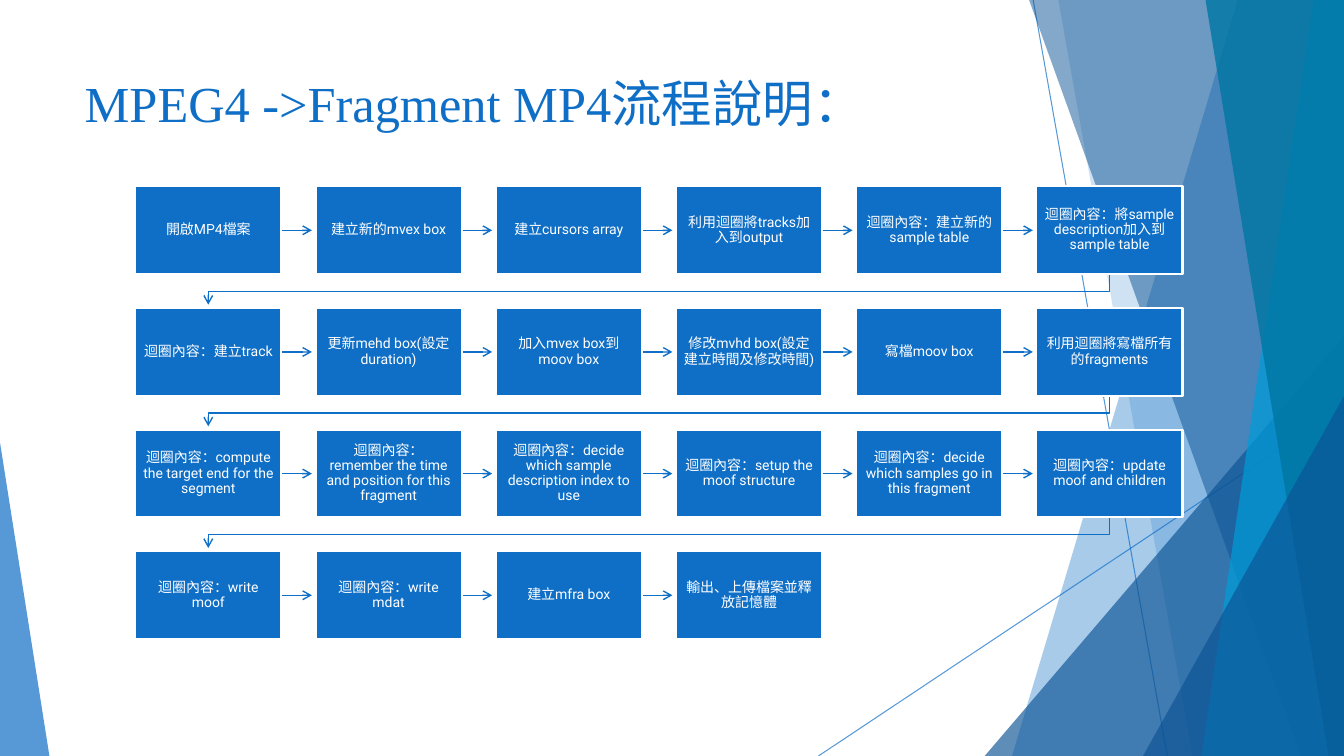
from pptx import Presentation
from pptx.dml.color import RGBColor
from pptx.enum import shapes, text
from pptx.oxml import ns, xmlchemy
from pptx.util import Pt

BLUE = RGBColor(0x0F, 0x6F, 0xC6)
NAVY = RGBColor(0x0B, 0x53, 0x94)
CYAN = RGBColor(0x00, 0x9D, 0xD9)
TEAL = RGBColor(0x00, 0x76, 0xA3)
WHITE = RGBColor(0xFF, 0xFF, 0xFF)

SLIDE_W, SLIDE_H = 960, 540
CJK_FONT = "Noto Sans CJK SC"

# Flow grid
COLUMNS = 6
GRID_LEFT, GRID_TOP = 96.6, 133.2
STEP_W, STEP_H = 104.4, 62.6
PITCH_X, PITCH_Y = 128.74, 86.9
ARROW_LENGTH, TURN_DROP = 21.8, 12.3

STEPS = [
    "開啟MP4檔案",
    "建立新的mvex box",
    "建立cursors array",
    "利用迴圈將tracks加入到output",
    "迴圈內容：建立新的sample table",
    "迴圈內容：將sample description加入到sample table",
    "迴圈內容：建立track",
    "更新mehd box(設定duration)",
    "加入mvex box到moov box",
    "修改mvhd box(設定建立時間及修改時間)",
    "寫檔moov box",
    "利用迴圈將寫檔所有的fragments",
    "迴圈內容：compute the target end for the segment",
    "迴圈內容：remember the time and position for this fragment",
    "迴圈內容：decide which sample description index to use",
    "迴圈內容：setup the moof structure",
    "迴圈內容：decide which samples go in this fragment",
    "迴圈內容：update moof and children",
    "迴圈內容：write moof",
    "迴圈內容：write mdat",
    "建立mfra box",
    "輸出、上傳檔案並釋放記憶體",
]


def assign(target, values):
    for name, value in values.items():
        setattr(target, name, value)


def add_xml(parent, tag, **attributes):
    child = xmlchemy.OxmlElement(tag)
    for name, value in attributes.items():
        child.set(name, value)
    parent.append(child)


class FlowSlide:
    step_frame = dict(word_wrap=True, vertical_anchor=text.MSO_ANCHOR.MIDDLE,
                      margin_left=Pt(5.6), margin_right=Pt(5.6),
                      margin_top=Pt(5.6), margin_bottom=Pt(5.6))
    step_paragraph = dict(alignment=text.PP_ALIGN.CENTER, line_spacing=0.9,
                          space_after=Pt(3.5))
    step_font = dict(name="Roboto", size=Pt(10))
    title_frame = dict(word_wrap=True, vertical_anchor=text.MSO_ANCHOR.TOP,
                       auto_size=text.MSO_AUTO_SIZE.NONE)

    def __init__(self, slide):
        self.slide = slide
        self.shapes = slide.shapes

    def _run(self, paragraph, words, font, color):
        run = paragraph.add_run()
        run.text = words
        assign(run.font, font)
        run.font.color.rgb = color
        add_xml(run.font._element, "a:ea", typeface=CJK_FONT)

    def _fade(self, shape, percent):
        for color in shape._element.spPr.iter(ns.qn("a:srgbClr")):
            add_xml(color, "a:alpha", val=str(percent * 1000))

    def _stroke(self, shape, width, color=BLUE):
        shape.line.width = Pt(width)
        shape.line.color.rgb = color

    def _arrowhead(self, shape):
        add_xml(shape._element.spPr.find(ns.qn("a:ln")), "a:tailEnd", type="arrow")

    def _facet(self, shape, color, opacity):
        shape.shadow.inherit = False
        shape.fill.solid()
        shape.fill.fore_color.rgb = color
        shape.line.fill.background()
        self._fade(shape, opacity)

    def _outline(self, points, close):
        builder = self.shapes.build_freeform(Pt(points[0][0]), Pt(points[0][1]))
        builder.add_line_segments([(Pt(x), Pt(y)) for x, y in points[1:]], close=close)
        return builder.convert_to_shape()

    def title(self, left, top, width, height, parts):
        heading = self.shapes.title
        assign(heading, dict(left=Pt(left), top=Pt(top), width=Pt(width), height=Pt(height)))
        assign(heading.text_frame, self.title_frame)
        paragraph = heading.text_frame.paragraphs[0]
        paragraph.alignment = text.PP_ALIGN.LEFT
        for words, family in parts:
            self._run(paragraph, words, dict(name=family, size=Pt(36)), BLUE)

    def line(self, x1, y1, x2, y2, width):
        line = self.shapes.add_connector(
            shapes.MSO_CONNECTOR.STRAIGHT, Pt(x1), Pt(y1), Pt(x2), Pt(y2))
        self._stroke(line, width)
        add_xml(line._element.spPr, "a:effectLst")
        return line

    def ray(self, *ends):
        self._fade(self.line(*ends, 0.75), 70)

    def band(self, top_left, top_right, bottom_right, bottom_left, color, opacity):
        corners = [(top_left, 0), (top_right, 0),
                   (bottom_right, SLIDE_H), (bottom_left, SLIDE_H)]
        self._facet(self._outline(corners, True), color, opacity)

    def wedge(self, left, top, width, apex, color, opacity):
        wedge = self.shapes.add_shape(
            shapes.MSO_SHAPE.ISOSCELES_TRIANGLE,
            Pt(left), Pt(top), Pt(width), Pt(SLIDE_H - top))
        wedge.adjustments[0] = apex
        self._facet(wedge, color, opacity)

    def arrow(self, x, y):
        self._arrowhead(self.line(x, y, x + ARROW_LENGTH, y, 1))

    def turn(self, x, y, end_x):
        turn_y = y + TURN_DROP
        turn = self._outline(
            [(x, y), (x, turn_y), (end_x, turn_y), (end_x, y + ARROW_LENGTH)], False)
        turn.shadow.inherit = False
        turn.fill.background()
        self._stroke(turn, 1)
        self._arrowhead(turn)

    def step(self, left, top, words):
        step = self.shapes.add_shape(
            shapes.MSO_SHAPE.RECTANGLE, Pt(left), Pt(top), Pt(STEP_W), Pt(STEP_H))
        step.shadow.inherit = False
        step.fill.solid()
        step.fill.fore_color.rgb = BLUE
        self._stroke(step, 1.5, WHITE)
        assign(step.text_frame, self.step_frame)
        paragraph = step.text_frame.paragraphs[0]
        assign(paragraph, self.step_paragraph)
        self._run(paragraph, words, self.step_font, WHITE)


def main():
    deck = Presentation()
    deck.slide_width, deck.slide_height = Pt(SLIDE_W), Pt(SLIDE_H)
    flow = FlowSlide(deck.slides.add_slide(deck.slide_layouts[5]))

    # Faceted backdrop, back to front
    flow.ray(738, 0, 833.8, SLIDE_H)
    flow.ray(SLIDE_W, 290.2, 584.6, SLIDE_H)
    flow.band(884.2, SLIDE_W, SLIDE_W, 722.9, BLUE, 36)
    flow.band(756, SLIDE_W, SLIDE_W, 851.8, BLUE, 20)
    flow.wedge(703.4, 239.8, 256.6, 1, NAVY, 66)
    flow.band(735.1, SLIDE_W, SLIDE_W, 929.5, NAVY, 50)
    flow.band(938.2, SLIDE_W, SLIDE_W, 858.2, CYAN, 70)
    flow.band(861.1, SLIDE_W, SLIDE_W, 949, TEAL, 80)
    flow.wedge(816.5, 283, 143.5, 1, NAVY, 66)
    flow.wedge(0, 316.1, 35.3, 0, BLUE, 70)

    # Title
    flow.title(53.3, 48.2, 676.8, 103.7,
               [("MPEG4 ->Fragment MP4", "Times New Roman"), ("流程說明：", CJK_FONT)])

    # Steps, each with the arrow to the next one
    for index, words in enumerate(STEPS):
        row, column = divmod(index, COLUMNS)
        left, top = GRID_LEFT + column * PITCH_X, GRID_TOP + row * PITCH_Y
        if column == COLUMNS - 1:
            flow.turn(left + STEP_W / 2, top + STEP_H, GRID_LEFT + STEP_W / 2)
        elif index < len(STEPS) - 1:
            flow.arrow(left + STEP_W, top + STEP_H / 2)
        flow.step(left, top, words)

    deck.save("out.pptx")


if __name__ == "__main__":
    main()
